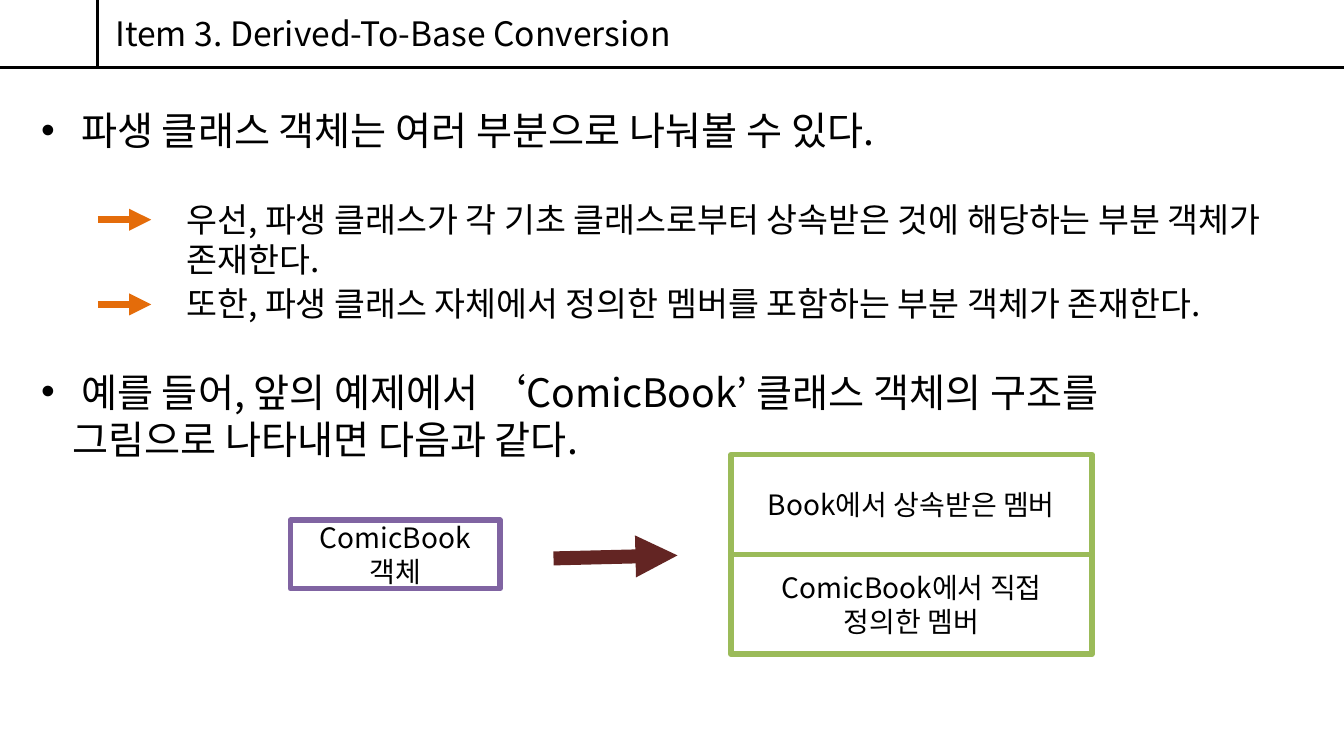
from lxml import etree
from pptx import Presentation
from pptx.dml.color import RGBColor
from pptx.enum.shapes import MSO_CONNECTOR, MSO_SHAPE
from pptx.enum.text import MSO_ANCHOR, MSO_AUTO_SIZE, PP_ALIGN
from pptx.oxml.ns import qn
from pptx.util import Inches, Pt

STRAIGHT = MSO_CONNECTOR.STRAIGHT
RECTANGLE = MSO_SHAPE.RECTANGLE
MIDDLE = MSO_ANCHOR.MIDDLE
GROW = MSO_AUTO_SIZE.SHAPE_TO_FIT_TEXT
CENTER = PP_ALIGN.CENTER

FONT = "Noto Sans CJK KR"
COLORS = {
    "black": "000000",
    "white": "FFFFFF",
    "orange": "E46C0A",
    "green": "9BBB59",
    "purple": "8064A2",
    "maroon": "632523",
}


class SlideBuilder:
    def __init__(self, slide):
        self.shapes = slide.shapes

    def color(self, name):
        return RGBColor.from_string(COLORS[name])

    def fill_text(self, tf, text, size, bullet=False, **paragraph_format):
        tf.word_wrap = True
        p = tf.paragraphs[0]
        for name, value in paragraph_format.items():
            setattr(p, name, value)
        if bullet:
            pPr = p._p.get_or_add_pPr()
            pPr.set("marL", str(Inches(0.31)))
            pPr.set("indent", str(-Inches(0.31)))
            etree.SubElement(pPr, qn("a:buFont"), typeface="Arial")
            etree.SubElement(pPr, qn("a:buChar"), char="•")
        r = p.add_run()
        r.text = text
        for name, value in {"size": Pt(size), "name": FONT}.items():
            setattr(r.font, name, value)
        r.font.color.rgb = self.color("black")
        etree.SubElement(r._r.get_or_add_rPr(), qn("a:ea"), typeface=FONT)

    def text(self, left, top, width, height, text, size, bullet=False):
        box = self.shapes.add_textbox(*map(Inches, (left, top, width, height)))
        self.fill_text(box.text_frame, text, size, bullet)
        box.text_frame.auto_size = GROW

    def box(self, left, top, width, height, text, line):
        sp = self.shapes.add_shape(RECTANGLE, *map(Inches, (left, top, width, height)))
        sp.shadow.inherit = False
        sp.fill.solid()
        sp.fill.fore_color.rgb = self.color("white")
        sp.line.color.rgb = self.color(line)
        sp.line.width = Pt(4)
        sp.text_frame.vertical_anchor = MIDDLE
        self.fill_text(sp.text_frame, text, 20, alignment=CENTER)

    def line(self, x1, y1, x2, y2, color="black", width=2, arrow=False):
        cxn = self.shapes.add_connector(STRAIGHT, *map(Inches, (x1, y1, x2, y2)))
        cxn.line.color.rgb = self.color(color)
        cxn.line.width = Pt(width)
        spPr = cxn._element.spPr
        if arrow:
            etree.SubElement(spPr.find(qn("a:ln")), qn("a:tailEnd"), type="triangle")
        etree.SubElement(spPr, qn("a:effectLst"))


def main():
    prs = Presentation()
    prs.slide_width, prs.slide_height = Inches(13.33), Inches(7.5)
    s = SlideBuilder(prs.slides.add_slide(prs.slide_layouts[6]))

    # Header
    s.line(0, 0.67, 13.33, 0.67)
    s.line(0.97, 0.67, 0.97, 0)
    s.text(0.97, 0.08, 12.36, 0.5, " Item 3. Derived-To-Base Conversion", 24)

    # Bullets and the points under the first
    bullets = [
        (1.01, " 파생 클래스 객체는 여러 부분으로 나눠볼 수 있다."),
        (3.6, " 예를 들어, 앞의 예제에서 ‘ComicBook’ 클래스 객체의 구조를 "
              "그림으로 나타내면 다음과 같다."),
    ]
    for top, text in bullets:
        s.text(0.31, top, 11.58, 0.57, text, 28, bullet=True)

    points = [
        (1.92, "우선, 파생 클래스가 각 기초 클래스로부터 상속받은 것에 해당하는 부분 "
               "객체가 존재한다."),
        (2.76, "또한, 파생 클래스 자체에서 정의한 멤버를 포함하는 부분 객체가 존재한다."),
    ]
    for top, text in points:
        s.line(0.97, top + 0.26, 1.5, top + 0.26, "orange", 5.25, arrow=True)
        s.text(1.75, top, 11, 0.5, text, 24)

    # Object structure diagram
    members = ["Book에서 상속받은 멤버", "ComicBook에서 직접 정의한 멤버"]
    for i, text in enumerate(members):
        s.box(7.25, 4.51 + 0.99 * i, 3.58, 0.99, text, "green")
    s.box(2.88, 5.16, 2.08, 0.68, "ComicBook 객체", "purple")
    s.line(5.49, 5.54, 6.72, 5.51, "maroon", 10, arrow=True)

    prs.save("out.pptx")


if __name__ == "__main__":
    main()
